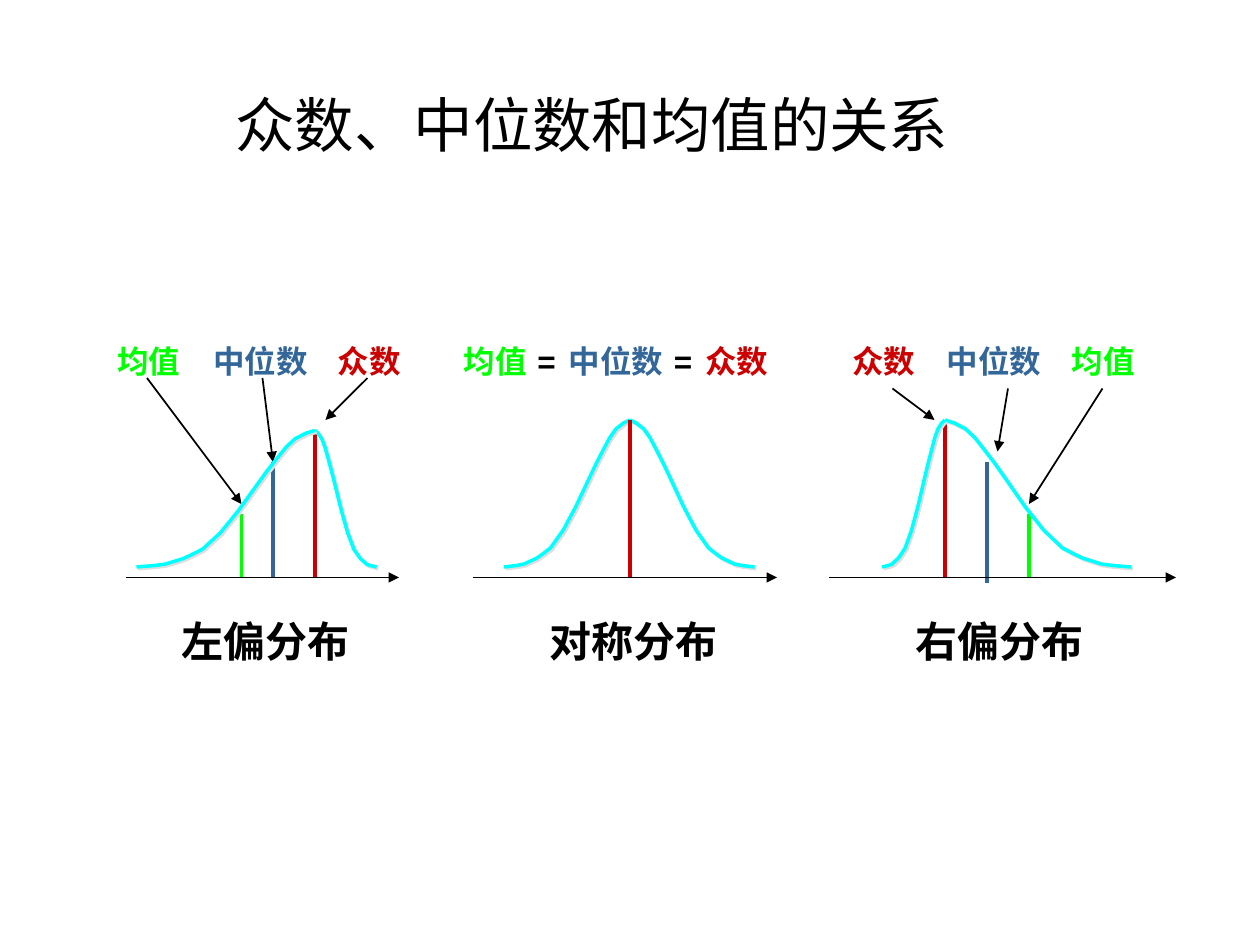
from dataclasses import dataclass

from lxml.etree import SubElement
from pptx import Presentation
from pptx.dml.color import RGBColor
from pptx.enum.shapes import MSO_CONNECTOR as Connector
from pptx.enum.text import MSO_ANCHOR as Anchor, MSO_AUTO_SIZE as AutoSize, PP_ALIGN as Align
from pptx.oxml.ns import qn
from pptx.util import Emu, Pt

PX = 9525  # EMU per px, 96 px to the inch


@dataclass(frozen=True)
class Theme:
    black: str = "000000"
    mean: str = "00FF00"
    median: str = "336699"
    mode: str = "CC0000"
    curve: str = "00FFFF"
    shadow: str = "DDDDDD"
    title_font: str = "DejaVu Sans"
    font: str = "Arial"
    title_size: int = 34
    caption_size: int = 24
    label_size: int = 18
    thin: int = 1
    thick: int = 2


THEME = Theme()

# name: text, colour, box width
LABELS = {
    "mean": ("均值", THEME.mean, 67),
    "median": ("中位数", THEME.median, 91),
    "mode": ("众数", THEME.mode, 67),
    "equals": ("=", THEME.black, 39),
}
LABEL_TOP, CAPTION_TOP = 256, 464
AXIS_Y, CURVE_BASE = 440, 432

# Half a bell, from its foot (0, 0) to its peak (1, 1)
BELL = list(zip(
    (0, .1, .16, .21, .26, .31, .37, .47, .57, .68, .73, .79, .84, .89, .95, 1),
    (0, .01, .02, .04, .06, .09, .13, .25, .41, .61, .7, .8, .88, .94, .98, 1),
))


@dataclass(frozen=True)
class Panel:
    """One distribution; markers are (name, x, top, bottom)."""
    caption: str
    caption_left: int
    labels: tuple
    markers: tuple
    arrows: tuple
    axis: tuple
    peak: tuple
    feet: tuple
    front_markers: tuple = ()


PANELS = (
    Panel(
        "左偏分布", 129,
        labels=(("mean", 80), ("median", 153), ("mode", 248)),
        markers=(("mode", 240, 328, AXIS_Y), ("median", 208, 352, AXIS_Y),
                 ("mean", 184, 392, AXIS_Y)),
        arrows=((280, 288, 248, 320), (200, 288, 208, 352), (112, 288, 184, 384)),
        axis=(96, 304), peak=(240, 328), feet=(287, 104),
    ),
    Panel(
        "对称分布", 409,
        labels=(("mean", 344), ("equals", 400), ("median", 424),
                ("equals", 504), ("mode", 528)),
        markers=(("median", 480, 320, 424), ("mean", 480, 320, 424)),
        arrows=(),
        axis=(360, 592), peak=(480, 320), feet=(575, 384),
        front_markers=(("mode", 480, 320, AXIS_Y),),
    ),
    Panel(
        "右偏分布", 688,
        labels=(("mode", 640), ("median", 712), ("mean", 807)),
        markers=(("mode", 720, 320, AXIS_Y), ("median", 752, 352, 444),
                 ("mean", 784, 392, AXIS_Y)),
        arrows=((680, 296, 712, 320), (768, 296, 760, 344), (840, 296, 784, 384)),
        axis=(632, 896), peak=(720, 320), feet=(862, 672),
    ),
)


def px(value):
    return Emu(round(value * PX))


def add_shadow(effects):
    shadow = SubElement(effects, qn("a:outerShdw"), dist="17961", dir="2700000",
                        algn="ctr", rotWithShape="0")
    SubElement(shadow, qn("a:srgbClr"), val=THEME.shadow)


class Painter:
    """Holds the theme, the slide and the group being drawn in."""

    def __init__(self, slide, theme):
        self.slide = slide
        self.theme = theme
        self.shapes = slide.shapes

    def start_group(self):
        self.shapes = self.slide.shapes.add_group_shape().shapes

    def title(self, text, left, top, width, height):
        box = self.slide.shapes.title
        box.left, box.top, box.width, box.height = map(px, (left, top, width, height))
        frame = box.text_frame
        frame.text = text
        frame.vertical_anchor = Anchor.MIDDLE
        frame.auto_size = AutoSize.NONE
        para = frame.paragraphs[0]
        para.alignment = Align.CENTER
        font = para.runs[0].font
        font.size = Pt(self.theme.title_size)
        font.name = self.theme.title_font
        font.color.rgb = RGBColor.from_string(self.theme.black)

    def text(self, text, left, top, width, height, size, color):
        """Bold text with a soft shadow."""
        box = self.shapes.add_textbox(*map(px, (left, top, width, height)))
        frame = box.text_frame
        frame.text = text
        frame.word_wrap = False
        frame.auto_size = AutoSize.SHAPE_TO_FIT_TEXT
        span = frame.paragraphs[0].runs[0]
        span.font.size = Pt(size)
        span.font.bold = True
        span.font.color.rgb = RGBColor.from_string(color)
        add_shadow(SubElement(span.font._element, qn("a:effectLst")))
        span.font.name = self.theme.font

    def line(self, x1, y1, x2, y2, color, width, arrow=False):
        line = self.shapes.add_connector(Connector.STRAIGHT, *map(px, (x1, y1, x2, y2)))
        line.line.color.rgb = RGBColor.from_string(color)
        line.line.width = Pt(width)
        if arrow:
            SubElement(line.line._get_or_add_ln(), qn("a:tailEnd"), type="triangle")
        SubElement(line._element.spPr, qn("a:effectLst"))

    def arrow(self, x1, y1, x2, y2):
        self.line(x1, y1, x2, y2, self.theme.black, self.theme.thin, arrow=True)

    def markers(self, markers):
        for name, x, top, bottom in markers:
            self.line(x, top, x, bottom, LABELS[name][1], self.theme.thick)

    def half_bell(self, foot, peak):
        peak_x, peak_y = peak
        points = [(px(foot + (peak_x - foot) * across),
                   px(CURVE_BASE + (peak_y - CURVE_BASE) * up)) for across, up in BELL]
        builder = self.shapes.build_freeform(*points[0])
        builder.add_line_segments(points[1:], close=False)
        curve = builder.convert_to_shape()
        curve.fill.background()
        curve.line.color.rgb = RGBColor.from_string(self.theme.curve)
        curve.line.width = Pt(self.theme.thick)
        curve.shadow.inherit = False
        add_shadow(curve._element.spPr.find(qn("a:effectLst")))

    def panel(self, panel):
        self.start_group()
        self.text(panel.caption, panel.caption_left, CAPTION_TOP, 147, 48,
                  self.theme.caption_size, self.theme.black)
        for name, left in panel.labels:
            text, color, width = LABELS[name]
            self.text(text, left, LABEL_TOP, width, 38, self.theme.label_size, color)
        self.markers(panel.markers)
        for ends in panel.arrows:
            self.arrow(*ends)
        start, end = panel.axis
        self.arrow(start, AXIS_Y, end, AXIS_Y)
        for foot in panel.feet:
            self.half_bell(foot, panel.peak)
        self.markers(panel.front_markers)


def main():
    deck = Presentation()
    deck.slide_width, deck.slide_height = px(960), px(720)
    page = deck.slides.add_slide(deck.slide_layouts[5])
    painter = Painter(page, THEME)
    painter.title("众数、中位数和均值的关系", 109, 34, 684, 121)
    for panel in PANELS:
        painter.panel(panel)
    deck.save("out.pptx")


if __name__ == "__main__":
    main()
